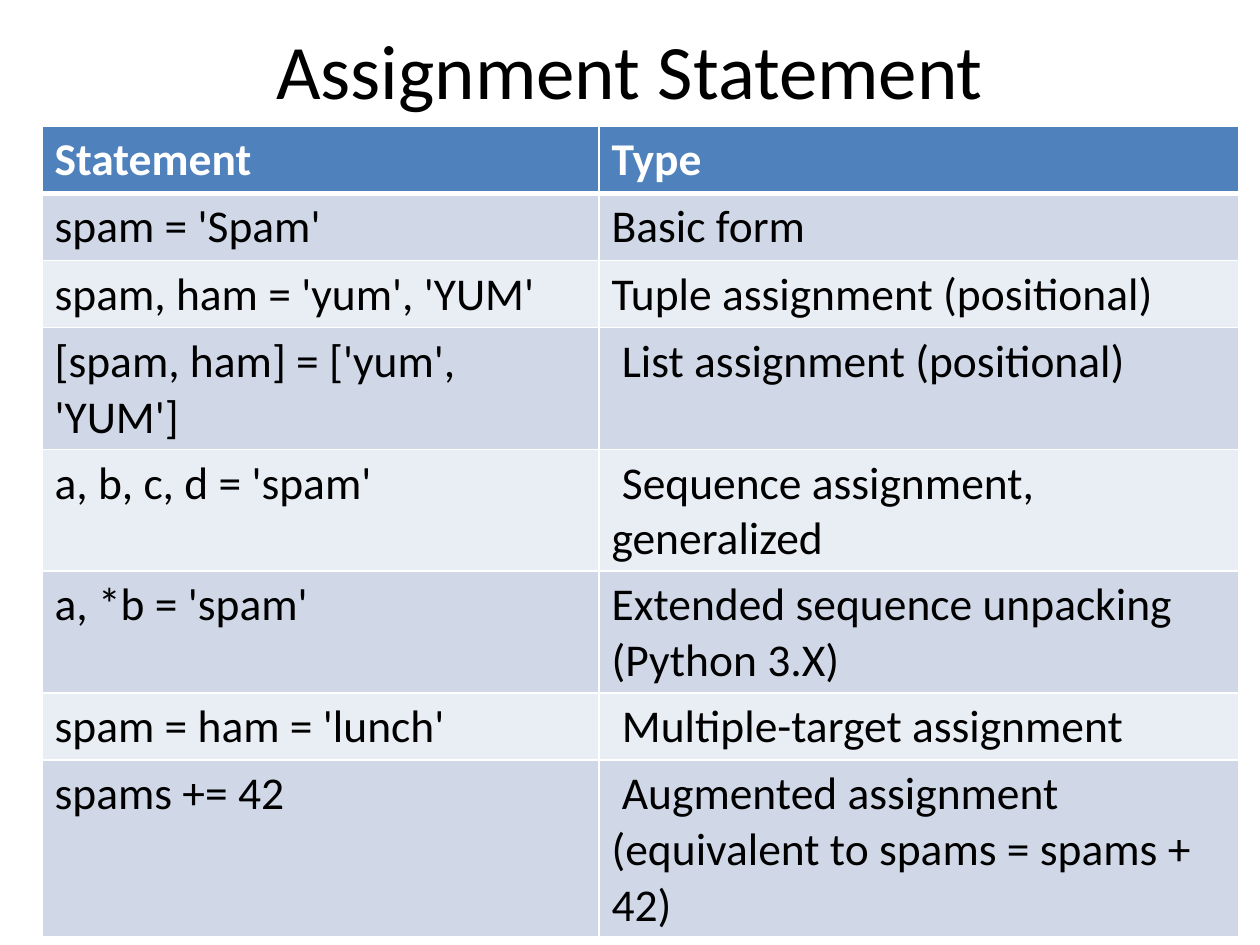
from dataclasses import dataclass

from lxml import etree
from pptx import Presentation
from pptx.dml.color import RGBColor
from pptx.enum.text import MSO_ANCHOR, PP_ALIGN
from pptx.oxml.ns import qn
from pptx.util import Emu, Pt

LEFT = PP_ALIGN.LEFT
CENTER = PP_ALIGN.CENTER
MIDDLE = MSO_ANCHOR.MIDDLE
EMU_PER_PX = 914400 / 126


@dataclass(frozen=True)
class Theme:
    font: str = "Calibri"
    title_size: int = 44
    table_size: int = 26
    ink: str = "000000"
    paper: str = "FFFFFF"
    header: str = "4F81BD"
    bands: tuple = ("D0D8E8", "E9EDF4")
    thin: int = 1
    thick: int = 3


STATEMENTS = [
    ("Statement", "Type"),
    ("spam = 'Spam'", "Basic form"),
    ("spam, ham = 'yum', 'YUM'", "Tuple assignment (positional)"),
    ("[spam, ham] = ['yum', 'YUM']", " List assignment (positional)"),
    ("a, b, c, d = 'spam'", " Sequence assignment, generalized"),
    ("a, *b = 'spam'", "Extended sequence unpacking (Python 3.X)"),
    ("spam = ham = 'lunch'", " Multiple-target assignment"),
    ("spams += 42", " Augmented assignment (equivalent to spams = spams + 42)"),
]


def px(length):
    return Emu(round(length * EMU_PER_PX))


def write(frame, text, *, font, size, color, bold=False, align=LEFT):
    paragraph = frame.paragraphs[0]
    paragraph.alignment = align
    run = paragraph.add_run()
    run.text = text
    run.font.name = font
    run.font.size = Pt(size)
    run.font.bold = bold
    run.font.color.rgb = RGBColor.from_string(color)


class SlideBuilder:
    def __init__(self, slide, theme):
        self.slide = slide
        self.theme = theme

    def title(self, text, left, top, width, height):
        box = self.slide.shapes.add_textbox(px(left), px(top), px(width), px(height))
        frame = box.text_frame
        frame.word_wrap = True
        frame.vertical_anchor = MIDDLE
        write(frame, text, font=self.theme.font, size=self.theme.title_size,
              color=self.theme.ink, align=CENTER)

    def borders(self, cell, top, bottom):
        properties = cell._tc.get_or_add_tcPr()
        widths = {"a:lnL": self.theme.thin, "a:lnR": self.theme.thin,
                  "a:lnT": top, "a:lnB": bottom}
        for position, (side, width) in enumerate(widths.items()):
            line = etree.Element(qn(side), w=str(Pt(width)))
            fill = etree.SubElement(line, qn("a:solidFill"))
            etree.SubElement(fill, qn("a:srgbClr"), val=self.theme.paper)
            properties.insert(position, line)

    def table(self, rows, left, top, column_widths, row_height, height):
        theme = self.theme
        holder = self.slide.shapes.add_table(
            len(rows), len(column_widths), px(left), px(top),
            px(sum(column_widths)), px(height))
        grid = holder.table
        for column, width in zip(grid.columns, column_widths):
            column.width = px(width)
        for index, (row, texts) in enumerate(zip(grid.rows, rows)):
            row.height = px(row_height)
            is_header = index == 0
            background = theme.header if is_header else theme.bands[(index - 1) % 2]
            for cell, text in zip(row.cells, texts):
                cell.fill.solid()
                cell.fill.fore_color.rgb = RGBColor.from_string(background)
                self.borders(cell,
                             top=theme.thick if index == 1 else theme.thin,
                             bottom=theme.thick if is_header else theme.thin)
                write(cell.text_frame, text, font=theme.font, size=theme.table_size,
                      color=theme.paper if is_header else theme.ink, bold=is_header)
        holder.height = px(height)


def main():
    deck = Presentation()
    deck.slide_width, deck.slide_height = px(1260), px(945)
    builder = SlideBuilder(deck.slides.add_slide(deck.slide_layouts[6]), Theme())
    builder.title("Assignment Statement", 63, -10, 1134, 158)
    builder.table(STATEMENTS, 42, 126, column_widths=(557, 640), row_height=52, height=810)
    deck.save("out.pptx")


if __name__ == "__main__":
    main()
